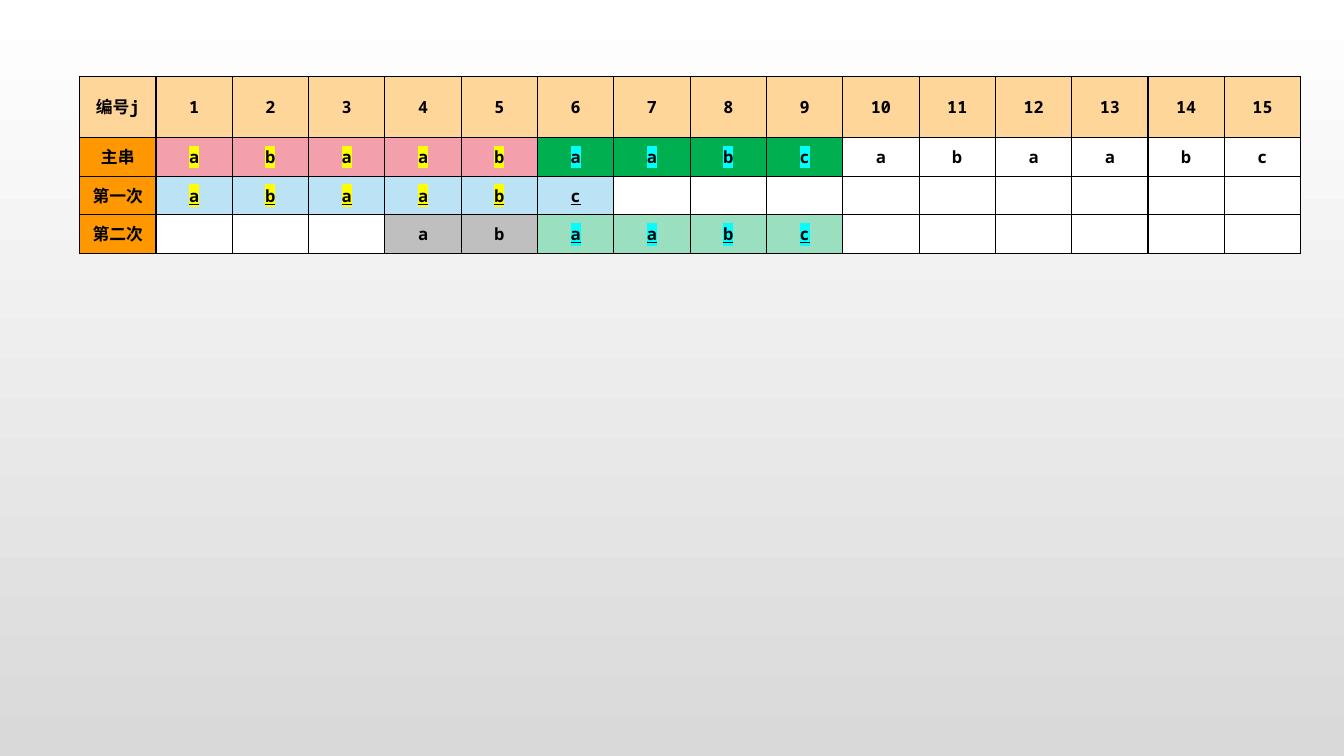
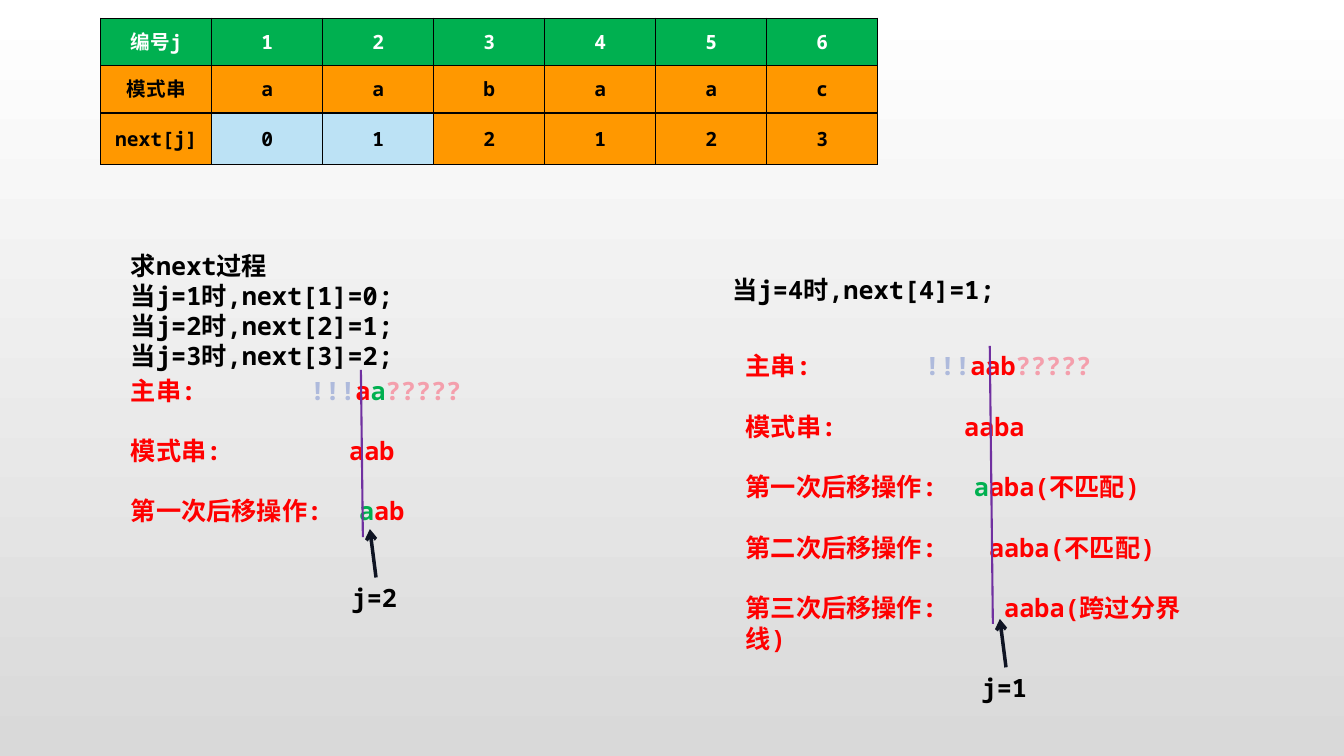
from dataclasses import dataclass
from typing import NamedTuple, Sequence

from lxml.etree import SubElement
from pptx import Presentation
from pptx.dml.color import RGBColor
from pptx.enum.shapes import MSO_CONNECTOR as Connector
from pptx.enum.text import MSO_ANCHOR as Anchor, PP_ALIGN as Align
from pptx.oxml.ns import qn
from pptx.util import Pt


@dataclass(frozen=True)
class Theme:
    font: str = "Noto Sans Mono"
    black: str = "000000"
    white: str = "FFFFFF"
    shade: str = "D9D9D9"
    peach: str = "FFD699"
    orange: str = "FF9800"
    pink: str = "F49FAC"
    green: str = "00B050"
    mint: str = "9ADFBF"
    sky: str = "BCE2F5"
    gray: str = "BFBFBF"
    red: str = "FF0000"
    lavender: str = "AEBADC"
    purple: str = "7030A0"
    navy: str = "0F1423"
    yellow: str = "FFFF00"
    cyan: str = "00FFFF"
    small: float = 12
    medium: float = 14
    large: float = 18
    line_height: float = 21.6


THEME = Theme()


class Box(NamedTuple):
    left: float
    top: float
    width: float
    height: float


class Span(NamedTuple):
    texts: Sequence[str]
    fill: str
    color: str = THEME.black
    highlight: str = ""
    underline: bool = False


class Line(NamedTuple):
    runs: list
    tab: float = 0
    space_before: float = 0


class Derivation(NamedTuple):
    box: Box
    intro: Box
    intro_lines: list
    steps: list
    divider: tuple
    caption: str
    caption_top: float


def rgb(color):
    return RGBColor.from_string(color)


def add_run(paragraph, text, color, size, highlight="", underline=False):
    run = paragraph.add_run()
    run.text = text
    font = run.font
    font.name = THEME.font
    font.size = Pt(size)
    font.bold = True
    font.color.rgb = rgb(color)
    if underline:
        font.underline = True
    properties = run._r.get_or_add_rPr()
    if highlight:
        mark = SubElement(properties, qn("a:highlight"))
        SubElement(mark, qn("a:srgbClr"), val=highlight)
        properties.find(qn("a:solidFill")).addnext(mark)
    east_asian = SubElement(properties, qn("a:ea"), typeface=THEME.font)
    properties.find(qn("a:latin")).addnext(east_asian)


def add_borders(cell):
    properties = cell._tc.get_or_add_tcPr()
    for side in ("lnL", "lnR", "lnT", "lnB"):
        border = SubElement(properties, qn(f"a:{side}"), w=str(Pt(1)))
        fill = SubElement(border, qn("a:solidFill"))
        SubElement(fill, qn("a:srgbClr"), val=THEME.black)


def fill_cell(cell, text, span, size):
    cell.margin_top = cell.margin_bottom = 0
    cell.vertical_anchor = Anchor.MIDDLE
    add_borders(cell)
    cell.fill.solid()
    cell.fill.fore_color.rgb = rgb(span.fill)
    if text:
        paragraph = cell.text_frame.paragraphs[0]
        paragraph.alignment = Align.CENTER
        add_run(paragraph, text, span.color, size, span.highlight, span.underline)


def add_grid(slide, box, row_heights, rows, size):
    column_count = sum(len(span.texts) for span in rows[0])
    frame = slide.shapes.add_table(len(rows), column_count, *map(Pt, box))
    table = frame.table
    for column in table.columns:
        column.width = Pt(box.width / column_count)
    for row, height, spans in zip(table.rows, row_heights, rows):
        row.height = Pt(height)
        entries = [(text, span) for span in spans for text in span.texts]
        for cell, (text, span) in zip(row.cells, entries):
            fill_cell(cell, text, span, size)


def add_text(shapes, box, lines):
    frame = shapes.add_textbox(*map(Pt, box)).text_frame
    frame.word_wrap = True
    for index, line in enumerate(lines):
        paragraph = frame.add_paragraph() if index else frame.paragraphs[0]
        paragraph.line_spacing = Pt(THEME.line_height)
        paragraph.space_before = Pt(line.space_before)
        if line.tab:
            tabs = SubElement(paragraph._p.get_or_add_pPr(), qn("a:tabLst"))
            SubElement(tabs, qn("a:tab"), pos=str(Pt(line.tab)), algn="l")
        for text, color in line.runs:
            add_run(paragraph, text, color, THEME.large)


def add_line(shapes, start, end, color, width, arrow=False):
    connector = shapes.add_connector(Connector.STRAIGHT, *map(Pt, start + end))
    connector.line.color.rgb = rgb(color)
    connector.line.width = Pt(width)
    if arrow:
        SubElement(connector.line._get_or_add_ln(), qn("a:tailEnd"), type="arrow")
    SubElement(connector._element.spPr, qn("a:effectLst"))


def step_lines(steps):
    main_tab, pattern_tab, shift_tab, shift = 128, 156, 163, 10.8
    lines = []
    for index, (label, runs) in enumerate(steps):
        tab = (main_tab, pattern_tab)[index] if index < 2 else shift_tab + (index - 2) * shift
        gap = THEME.line_height if index else 0
        lines.append(Line([(label + "\t", THEME.red)] + runs, tab, gap))
    return lines


def add_derivation(slide, panel):
    shapes = slide.shapes.add_group_shape().shapes
    left, top = panel.box.left, panel.box.top
    foot_x, lean, length = panel.divider
    tail_y = top + panel.caption_top
    foot = left + foot_x
    add_text(shapes, panel.box, step_lines(panel.steps))
    add_line(shapes, (foot, top + length), (foot - lean, top), THEME.purple, 1.5)
    add_line(shapes, (foot + 9.4, tail_y), (foot + 5, tail_y - 34.6), THEME.navy, 2.5, True)
    add_text(shapes, Box(foot - 15.1, tail_y, 62, 28.8),
             [Line([(panel.caption, THEME.black)])])
    intro = panel.intro._replace(left=left + panel.intro.left, top=top + panel.intro.top)
    add_text(shapes, intro, [Line([(text, THEME.black)]) for text in panel.intro_lines])


def add_slide(presentation):
    slide = presentation.slides.add_slide(presentation.slide_layouts[6])
    fill = slide.background.fill
    fill.gradient()
    fill.gradient_angle = 270
    for stop, position, color in zip(fill.gradient_stops, (0, 1), (THEME.white, THEME.shade)):
        stop.position = position
        stop.color.rgb = rgb(color)
    return slide


def blank(count):
    return Span([""] * count, THEME.white)


def add_matching_slide(presentation):
    t = THEME
    numbers = [str(number) for number in range(1, 16)]
    rows = [
        [Span(["编号j"] + numbers, t.peach)],
        [Span(["主串"], t.orange), Span("abaab", t.pink, highlight=t.yellow),
         Span("aabc", t.green, highlight=t.cyan), Span("abaabc", t.white)],
        [Span(["第一次"], t.orange),
         Span("abaab", t.sky, highlight=t.yellow, underline=True),
         Span("c", t.sky, underline=True), blank(9)],
        [Span(["第二次"], t.orange), blank(3), Span("ab", t.gray),
         Span("aabc", t.mint, highlight=t.cyan, underline=True), blank(6)],
    ]
    box = Box(56.9, 54.7, 872.2, 126.4)
    add_grid(add_slide(presentation), box, (43.6, 27.6, 27.6, 27.6), rows, t.small)


def add_next_slide(presentation):
    t = THEME
    slide = add_slide(presentation)
    rows = [
        [Span(["编号j", *"123456"], t.green, t.white)],
        [Span(["模式串", *"aabaac"], t.orange)],
        [Span(["next[j]"], t.orange), Span("01", t.sky), Span("2123", t.orange)],
    ]
    add_grid(slide, Box(72, 13, 555, 104.7), (33.9, 33.9, 36.9), rows, t.medium)
    unknown_before, unknown_after = ("!!!", t.lavender), ("?????", t.pink)
    first_match = ("a", t.green)
    add_derivation(slide, Derivation(
        Box(86.4, 264.2, 365, 159.8), Box(0, -89.3, 320.4, 95),
        ["求next过程", "当j=1时,next[1]=0;", "当j=2时,next[2]=1;", "当j=3时,next[3]=2;"],
        [("主串:", [unknown_before, ("a", t.red), first_match, unknown_after]),
         ("模式串:", [("aab", t.red)]),
         ("第一次后移操作:", [first_match, ("ab", t.red)])],
        (172.8, 1.4, 119.5), "j=2", 148.3))
    add_derivation(slide, Derivation(
        Box(525.6, 247, 349.2, 203.8), Box(-9.4, -54.7, 327.6, 28.8),
        ["当j=4时,next[4]=1;"],
        [("主串:", [unknown_before, ("aab", t.red), unknown_after]),
         ("模式串:", [("aaba", t.red)]),
         ("第一次后移操作:", [first_match, ("aba(不匹配)", t.red)]),
         ("第二次后移操作:", [("aaba(不匹配)", t.red)]),
         ("第三次后移操作:", [("aaba(跨过分界线)", t.red)])],
        (183.6, 2.2, 198.7), "j=1", 229.7))


def main():
    presentation = Presentation()
    presentation.slide_width = Pt(960)
    presentation.slide_height = Pt(540)
    add_matching_slide(presentation)
    add_next_slide(presentation)
    presentation.save("out.pptx")


if __name__ == "__main__":
    main()
